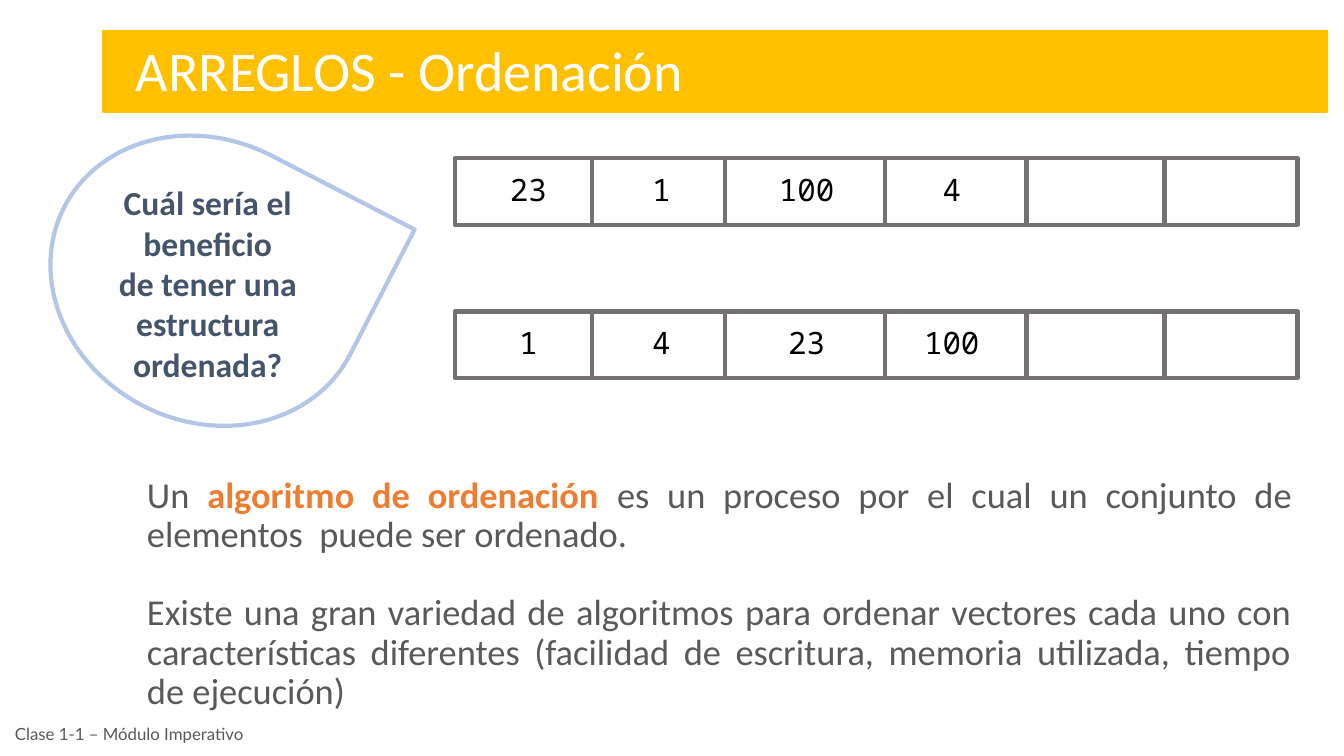
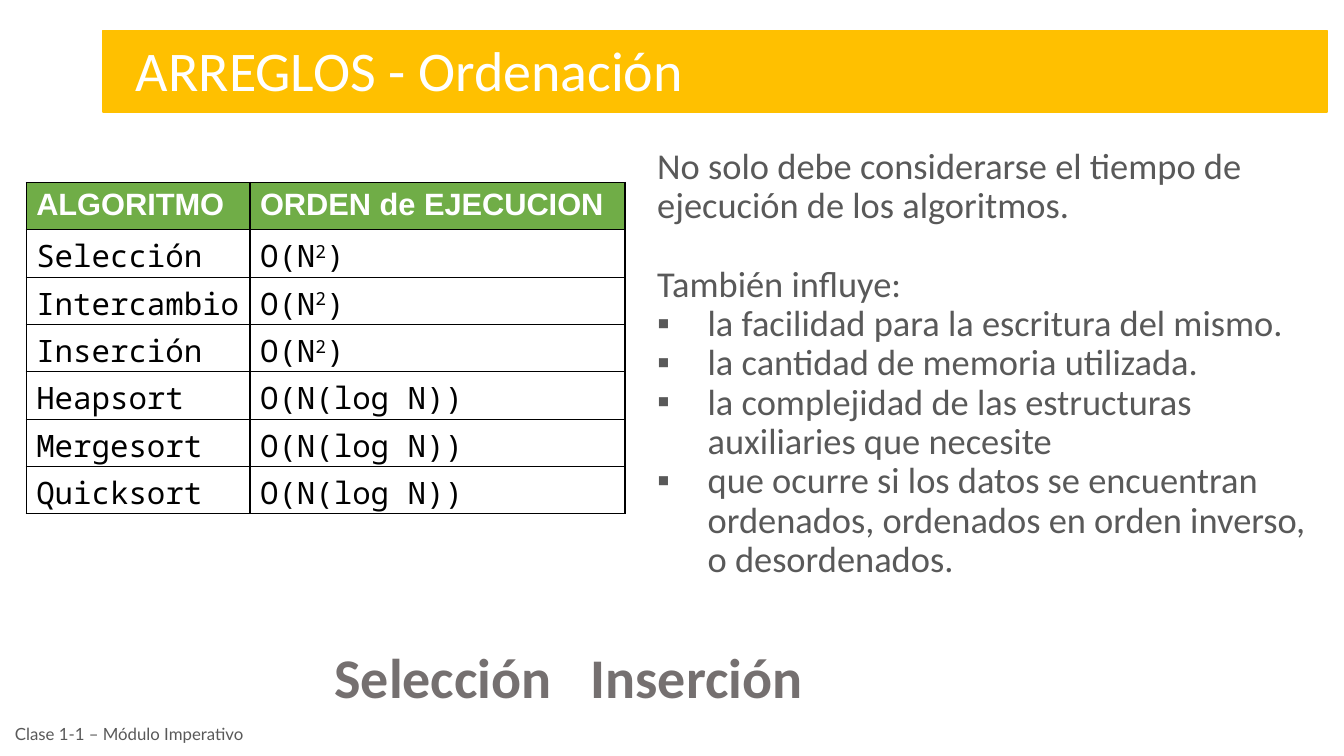
from dataclasses import dataclass
from itertools import accumulate

from lxml.etree import SubElement
from pptx import Presentation
from pptx.dml.color import RGBColor
from pptx.enum.shapes import MSO_CONNECTOR, MSO_SHAPE
from pptx.enum.text import MSO_ANCHOR, PP_ALIGN
from pptx.oxml.ns import qn
from pptx.util import Inches, Pt


@dataclass(frozen=True)
class Theme:
    band: str = "FFC000"
    white: str = "FFFFFF"
    black: str = "000000"
    body: str = "595959"
    question: str = "44546A"
    drop: str = "B3C6E7"
    cell_line: str = "767171"
    accent: str = "ED7D31"
    header: str = "70AD47"
    closing: str = "757070"
    font: str = "Calibri"
    mono: str = "Noto Sans Mono"
    table_head: str = "Arial"
    footer: str = "Lato"
    title_size: int = 40
    body_size: int = 26
    question_size: int = 24
    cell_size: int = 22
    footer_size: int = 12
    paragraph_gap: int = 28


theme = Theme()


def write(frame, text, *, size, color, font=theme.font, bold=False, align=PP_ALIGN.LEFT,
          spacing=1.0, after=0, bullet=None, anchor=MSO_ANCHOR.TOP):
    frame.word_wrap = True
    frame.vertical_anchor = anchor
    paragraph = frame.paragraphs[-1]
    if paragraph.runs:
        paragraph = frame.add_paragraph()
    paragraph.alignment = align
    paragraph.line_spacing = spacing
    paragraph.space_after = Pt(after)
    if bullet:
        properties = paragraph._p.get_or_add_pPr()
        properties.set("marL", str(Inches(0.5)))
        properties.set("indent", str(Inches(-0.5)))
        SubElement(properties, qn("a:buFont"), typeface="Arial")
        SubElement(properties, qn("a:buChar"), char=bullet)
    for part in [text] if isinstance(text, str) else text:
        words, changes = (part, {}) if isinstance(part, str) else part
        run = paragraph.add_run()
        run.text = words
        run.font.name = font
        run.font.size = Pt(size)
        run.font.bold = changes.get("bold", bold)
        run.font.color.rgb = RGBColor.from_string(changes.get("color", color))
        if "baseline" in changes:
            run._r.get_or_add_rPr().set("baseline", str(changes["baseline"]))


def add_outline(slide, kind, box, line, width, fill=None):
    shape = slide.shapes.add_shape(kind, *map(Inches, box))
    shape.shadow.inherit = False
    shape.line.color.rgb = RGBColor.from_string(line)
    shape.line.width = Pt(width)
    if fill:
        shape.fill.solid()
        shape.fill.fore_color.rgb = RGBColor.from_string(fill)
    else:
        shape.fill.background()
    return shape


presentation = Presentation()
presentation.slide_width = Inches(13.33)
presentation.slide_height = Inches(7.5)

for _ in range(2):
    slide = presentation.slides.add_slide(presentation.slide_layouts[6])
    add_outline(slide, MSO_SHAPE.RECTANGLE, (1.02, 0.3, 12.14, 0.81), theme.band, 1, theme.band)
    title = slide.shapes.add_textbox(Inches(1.25), Inches(0.3), Inches(5.69), Inches(0.77))
    write(title.text_frame, "ARREGLOS - Ordenación", size=theme.title_size, color=theme.white)
    footer = slide.shapes.add_textbox(Inches(0.05), Inches(7.05), Inches(3.19), Inches(0.45))
    write(footer.text_frame, "Clase 1-1 – Módulo Imperativo", size=theme.footer_size,
          color=theme.body, font=theme.footer, anchor=MSO_ANCHOR.MIDDLE)

array_slide, order_slide = presentation.slides

drop = add_outline(array_slide, MSO_SHAPE.TEAR, (0.46, 1.39, 3.19, 2.79), theme.drop, 3)
drop.rotation = 27.3
question = array_slide.shapes.add_textbox(Inches(1), Inches(1.76), Inches(2.12), Inches(2.12))
for text in ("Cuál sería el beneficio", "de tener una estructura ordenada?"):
    write(question.text_frame, text, size=theme.question_size, color=theme.question,
          bold=True, align=PP_ALIGN.CENTER)

array_left, array_width, array_height = 4.51, 8.36, 0.66
dividers = (5.87, 7.19, 8.78, 10.18, 11.55)
value_centers = (5.24, 6.56, 8, 9.44)
value_width = 1.04
for top, values in ((1.57, ("23", "1", "100", "4")), (3.09, ("1", "4", "23", "100"))):
    add_outline(array_slide, MSO_SHAPE.RECTANGLE,
                (array_left, top, array_width, array_height), theme.cell_line, 3)
    for x in dividers:
        divider = array_slide.shapes.add_connector(
            MSO_CONNECTOR.STRAIGHT, Inches(x), Inches(top), Inches(x), Inches(top + array_height))
        divider.line.color.rgb = RGBColor.from_string(theme.cell_line)
        divider.line.width = Pt(3)
        SubElement(divider._element.spPr, qn("a:effectLst"))
    for center, value in zip(value_centers, values):
        box = array_slide.shapes.add_textbox(
            Inches(center - value_width / 2), Inches(top + 0.07), Inches(value_width), Inches(0.47))
        write(box.text_frame, value, size=theme.cell_size, color=theme.black,
              font=theme.mono, align=PP_ALIGN.CENTER)

definition = array_slide.shapes.add_textbox(Inches(1.36), Inches(4.68), Inches(11.56), Inches(2.38))
definition_texts = (
    (["Un ", ("algoritmo de ordenación ", {"color": theme.accent, "bold": True}),
      "es un proceso por el cual un conjunto de elementos  puede ser ordenado."],
     theme.paragraph_gap),
    ("Existe una gran variedad de algoritmos para ordenar vectores cada uno con características "
     "diferentes (facilidad de escritura, memoria utilizada, tiempo de ejecución)", 0),
)
for text, after in definition_texts:
    write(definition.text_frame, text, size=theme.body_size, color=theme.body,
          align=PP_ALIGN.JUSTIFY, spacing=0.9, after=after)

quadratic = ["O(N", ("2", {"baseline": 30000}), ")"]
logarithmic = "O(N(log N))"
rows = (
    ("ALGORITMO", "ORDEN de EJECUCION"),
    ("Selección", quadratic),
    ("Intercambio", quadratic),
    ("Inserción", quadratic),
    ("Heapsort", logarithmic),
    ("Mergesort", logarithmic),
    ("Quicksort", logarithmic),
)
column_widths = (2.22, 3.72)
row_height = 0.47
table = order_slide.shapes.add_table(
    len(rows), len(column_widths), Inches(0.26), Inches(1.81),
    Inches(sum(column_widths)), Inches(row_height * len(rows))).table
table.horz_banding = False
for column, width in zip(table.columns, column_widths):
    column.width = Inches(width)
for row_index, row in enumerate(rows):
    table.rows[row_index].height = Inches(row_height)
    is_header = row_index == 0
    for column_index, text in enumerate(row):
        cell = table.cell(row_index, column_index)
        cell.margin_bottom = Inches(0.05 if is_header else 0)
        write(cell.text_frame, text, size=theme.cell_size, bold=is_header,
              color=theme.white if is_header else theme.black,
              font=theme.table_head if is_header else theme.mono)
        properties = cell._tc.get_or_add_tcPr()
        for side in ("a:lnL", "a:lnR", "a:lnT", "a:lnB"):
            border = SubElement(properties, qn(side), w=str(Pt(1)))
            fill = SubElement(border, qn("a:solidFill"))
            SubElement(fill, qn("a:srgbClr"), val=theme.black)
        if is_header:
            cell.fill.solid()
            cell.fill.fore_color.rgb = RGBColor.from_string(theme.header)
        else:
            cell.fill.background()

factors = order_slide.shapes.add_textbox(Inches(6.42), Inches(1.42), Inches(6.65), Inches(4.67))
factor_texts = (
    ("No solo debe considerarse el tiempo de ejecución de los algoritmos.", theme.paragraph_gap, None),
    ("También influye:", 0, None),
    ("la facilidad para la escritura del mismo.", 0, "▪"),
    ("la cantidad de memoria utilizada.", 0, "▪"),
    ("la complejidad de las estructuras auxiliaries que necesite", 0, "▪"),
    ("que ocurre si los datos se encuentran ordenados, ordenados en orden inverso, "
     "o desordenados.", 0, "▪"),
)
for text, after, bullet in factor_texts:
    write(factors.text_frame, text, size=theme.body_size, color=theme.body,
          spacing=0.9, after=after, bullet=bullet)

closing_left, closing_width = 3.22, 2.54
closing_lefts = accumulate([closing_width], initial=closing_left)
for left, text in zip(closing_lefts, ("Selección", "Inserción")):
    closing = order_slide.shapes.add_textbox(
        Inches(left), Inches(6.33), Inches(closing_width), Inches(0.77))
    write(closing.text_frame, text, size=theme.title_size, color=theme.closing, bold=True)

presentation.save("out.pptx")
